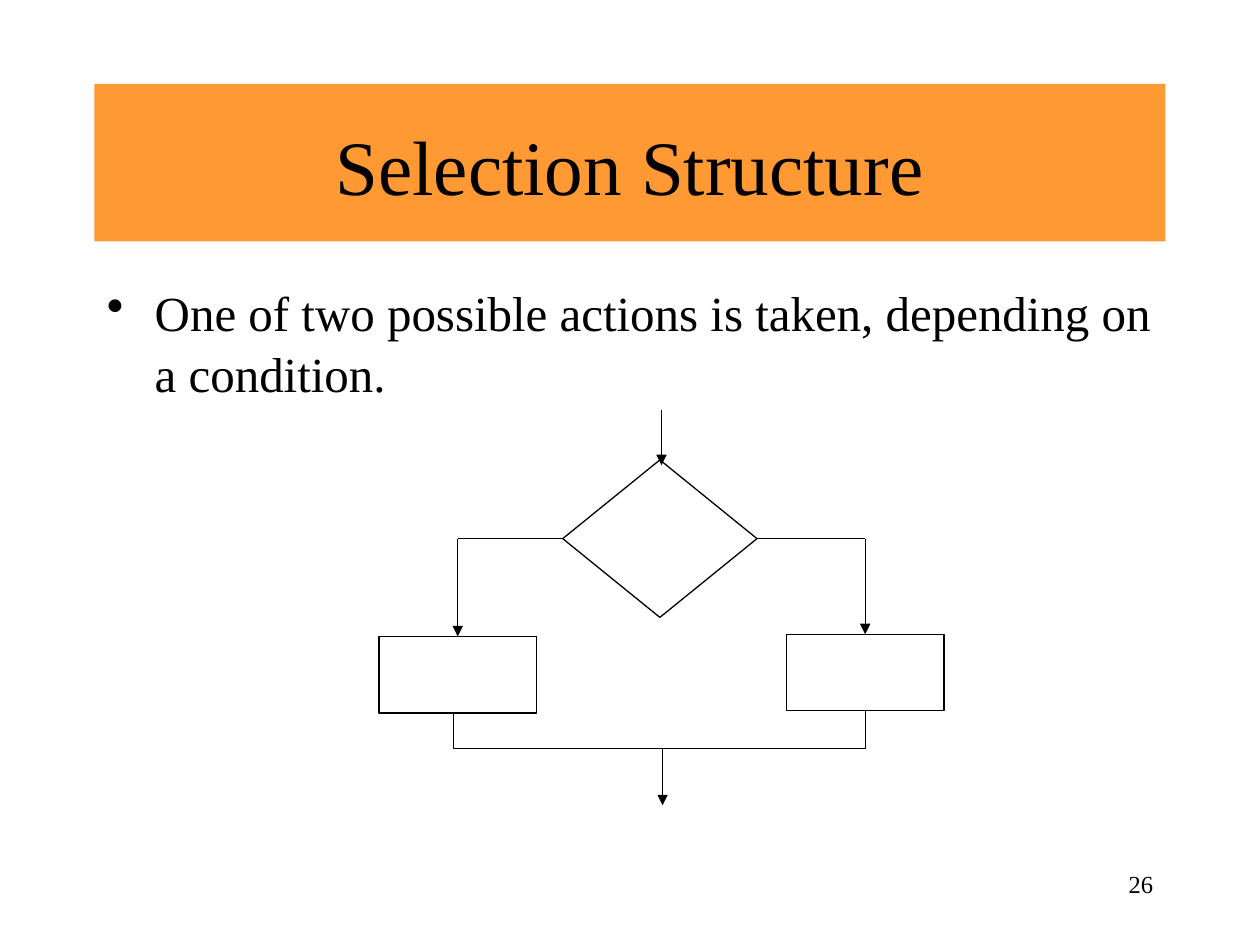
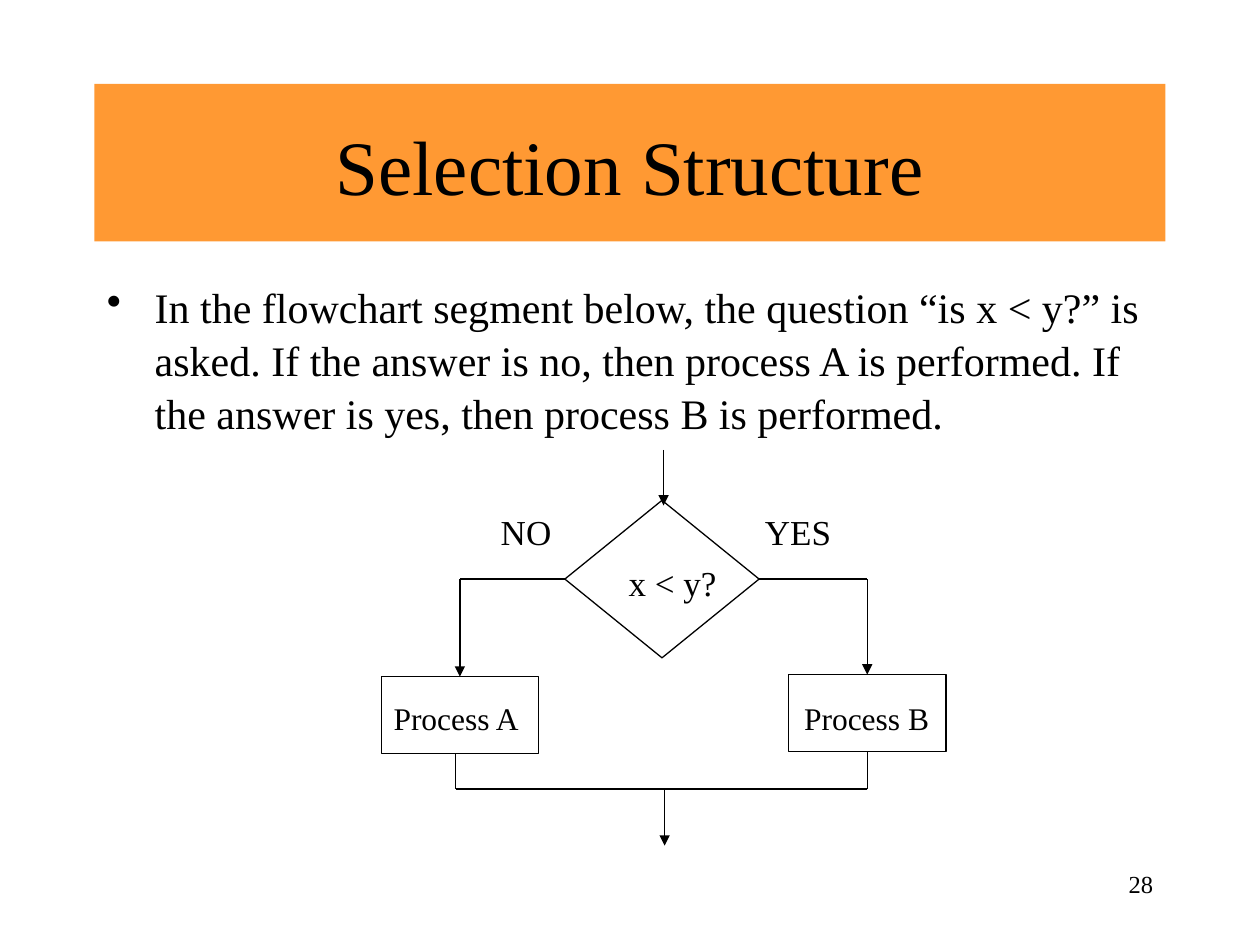
"""Build two slides that explain the selection structure with flowcharts."""
from dataclasses import dataclass
from typing import Optional

from lxml.etree import SubElement
from pptx import Presentation
from pptx.dml.color import RGBColor
from pptx.enum.shapes import MSO_CONNECTOR as Connector, MSO_SHAPE as Shape
from pptx.enum.text import MSO_ANCHOR as Anchor, PP_ALIGN as Align
from pptx.oxml.ns import qn
from pptx.util import Inches, Pt

SLIDE_WIDTH, SLIDE_HEIGHT = Inches(10), Inches(7.5)
COLUMNS, ROWS = 120, 90
BLACK = RGBColor(0x00, 0x00, 0x00)
WHITE = RGBColor(0xFF, 0xFF, 0xFF)
ORANGE = RGBColor(0xFF, 0x99, 0x33)
FONT = "Times New Roman"
LINE_SPACING = 1.05
BULLET_INDENT = Inches(0.38)
TOP, LEFT, BOTTOM, RIGHT = range(4)


@dataclass(frozen=True)
class Box:
    """A rectangle in grid columns and rows."""
    left: float
    top: float
    width: float
    height: float

    def moved(self, column: float, row: float) -> "Box":
        """Return the box shifted on the grid."""
        return Box(self.left + column, self.top + row, self.width, self.height)

    def lengths(self) -> tuple[int, int, int, int]:
        """Return left, top, width and height in slide units."""
        return (*place(self.left, self.top), *place(self.width, self.height))


@dataclass(frozen=True)
class Node:
    """A flowchart symbol, placed from the flowchart's corner."""
    name: str
    preset: Shape
    box: Box


@dataclass(frozen=True)
class Joint:
    """The middle of one side of a node."""
    node: str
    side: int


@dataclass(frozen=True)
class Flow:
    """A line from start to end, joined to nodes where named."""
    start: tuple[float, float]
    end: tuple[float, float]
    arrow: bool = False
    start_joint: Optional[Joint] = None
    end_joint: Optional[Joint] = None


@dataclass(frozen=True)
class Label:
    """A flowchart caption, placed from the flowchart's corner."""
    text: str
    box: Box
    size: float
    align: Align = Align.LEFT


@dataclass(frozen=True)
class Lesson:
    """The content of one slide."""
    number: int
    statement: str
    size: float
    corner: tuple[float, float]
    labels: tuple[Label, ...] = ()


TITLE_BOX = Box(9, 8, 102, 15)
BODY_BOX = Box(9, 26, 102, 54)
NUMBER_BOX = Box(86, 82, 25, 6)

NODES = (
    Node("process A", Shape.RECTANGLE, Box(0, 21.6, 15, 7.3)),
    Node("decision", Shape.FLOWCHART_DECISION, Box(17.5, 4.8, 18.5, 15)),
    Node("process B", Shape.RECTANGLE, Box(38.8, 21.4, 15, 7.3)),
)

A_CENTRE, A_EXIT, B_CENTRE = 7.5, 7.1, 46.3
ENTRY, EXIT = 26.9, 27
BRANCH_ROW, MERGE_ROW = 12.3, 32.3
FLOWS = (
    Flow((17.5, BRANCH_ROW), (A_CENTRE, BRANCH_ROW), start_joint=Joint("decision", LEFT)),
    Flow((A_CENTRE, BRANCH_ROW), (A_CENTRE, 21.6), True, end_joint=Joint("process A", TOP)),
    Flow((36, BRANCH_ROW), (B_CENTRE, BRANCH_ROW), start_joint=Joint("decision", RIGHT)),
    Flow((B_CENTRE, BRANCH_ROW), (B_CENTRE, 21.4), True, end_joint=Joint("process B", TOP)),
    Flow((A_EXIT, 28.9), (A_EXIT, MERGE_ROW)),
    Flow((B_CENTRE, 28.7), (B_CENTRE, MERGE_ROW), start_joint=Joint("process B", BOTTOM)),
    Flow((B_CENTRE, MERGE_ROW), (A_EXIT, MERGE_ROW)),
    Flow((EXIT, MERGE_ROW), (EXIT, 37.7), True),
    Flow((ENTRY, 0), (ENTRY, 5.3), True),
)

LABELS = (
    Label("YES", Box(34.7, 5, 10, 5.3), 20, Align.CENTER),
    Label("NO", Box(8.8, 5, 10, 5.3), 20, Align.CENTER),
    Label("x < y?", Box(22.4, 9.8, 11.3, 5.3), 20),
    Label("Process B", Box(39.1, 23, 14.9, 4.8), 18),
    Label("Process A", Box(0, 23, 14.9, 4.8), 18),
)

LESSONS = (
    Lesson(26, "One of two possible actions is taken, depending on a condition.",
           28, (36.1, 39)),
    Lesson(28, "In the flowchart segment below, the question “is x < y?” is asked. "
               "If the answer is no, then process A is performed. "
               "If the answer is yes, then process B is performed.",
           24, (36.3, 42.85), LABELS),
)


def place(column: float, row: float) -> tuple[int, int]:
    """Turn a grid position into slide units."""
    return round(SLIDE_WIDTH * column / COLUMNS), round(SLIDE_HEIGHT * row / ROWS)


def write(shape, text: str, size: float, align: Align = Align.LEFT,
          anchor: Anchor = Anchor.TOP, bullet: bool = False) -> None:
    """Put one styled paragraph into a shape."""
    frame = shape.text_frame
    frame.word_wrap = True
    frame.vertical_anchor = anchor
    paragraph = frame.paragraphs[0]
    paragraph.alignment = align
    paragraph.line_spacing = LINE_SPACING
    if bullet:
        properties = paragraph._p.get_or_add_pPr()
        properties.set("marL", str(BULLET_INDENT))
        properties.set("indent", str(-BULLET_INDENT))
        SubElement(properties, qn("a:buChar"), char="•")
    run = paragraph.add_run()
    run.text = text
    run.font.name = FONT
    run.font.size = Pt(size)
    run.font.color.rgb = BLACK


def add_text(slide, box: Box, text: str, size: float,
             align: Align = Align.LEFT, bullet: bool = False) -> None:
    """Add a text box on the grid."""
    write(slide.shapes.add_textbox(*box.lengths()), text, size, align, bullet=bullet)


def add_title(slide, text: str) -> None:
    """Add the orange title band."""
    band = slide.shapes.add_shape(Shape.RECTANGLE, *TITLE_BOX.lengths())
    band.shadow.inherit = False
    band.fill.solid()
    band.fill.fore_color.rgb = ORANGE
    band.line.fill.background()
    write(band, text, 44, Align.CENTER, Anchor.MIDDLE)


def draw_outline(line) -> None:
    """Style an outline or connector as a thin black line."""
    line.color.rgb = BLACK
    line.width = Pt(0.75)


def add_node(slide, node: Node, corner: tuple[float, float]):
    """Add one flowchart symbol and return it."""
    shape = slide.shapes.add_shape(node.preset, *node.box.moved(*corner).lengths())
    shape.shadow.inherit = False
    shape.fill.background()
    draw_outline(shape.line)
    return shape


def add_flow(slide, flow: Flow, corner: tuple[float, float], shapes: dict) -> None:
    """Add one flowchart line, joined to its nodes."""
    column, row = corner
    start, end = (place(x + column, y + row) for x, y in (flow.start, flow.end))
    connector = slide.shapes.add_connector(Connector.STRAIGHT, *start, *end)
    if flow.start_joint:
        connector.begin_connect(shapes[flow.start_joint.node], flow.start_joint.side)
    if flow.end_joint:
        connector.end_connect(shapes[flow.end_joint.node], flow.end_joint.side)
    draw_outline(connector.line)
    if flow.arrow:
        SubElement(connector.line._get_or_add_ln(), qn("a:tailEnd"), type="triangle")
    SubElement(connector._element.spPr, qn("a:effectLst"))


def add_lesson(presentation, lesson: Lesson) -> None:
    """Add one slide with its title, statement and flowchart."""
    slide = presentation.slides.add_slide(presentation.slide_layouts[6])
    slide.background.fill.solid()
    slide.background.fill.fore_color.rgb = WHITE
    add_text(slide, NUMBER_BOX, str(lesson.number), 14, Align.RIGHT)
    add_title(slide, "Selection Structure")
    add_text(slide, BODY_BOX, lesson.statement, lesson.size, bullet=True)
    shapes = {node.name: add_node(slide, node, lesson.corner) for node in NODES}
    for flow in FLOWS:
        add_flow(slide, flow, lesson.corner, shapes)
    for label in lesson.labels:
        add_text(slide, label.box.moved(*lesson.corner), label.text, label.size, label.align)


def main() -> None:
    """Build and save the presentation."""
    presentation = Presentation()
    presentation.slide_width, presentation.slide_height = SLIDE_WIDTH, SLIDE_HEIGHT
    for lesson in LESSONS:
        add_lesson(presentation, lesson)
    presentation.save("out.pptx")


if __name__ == "__main__":
    main()
